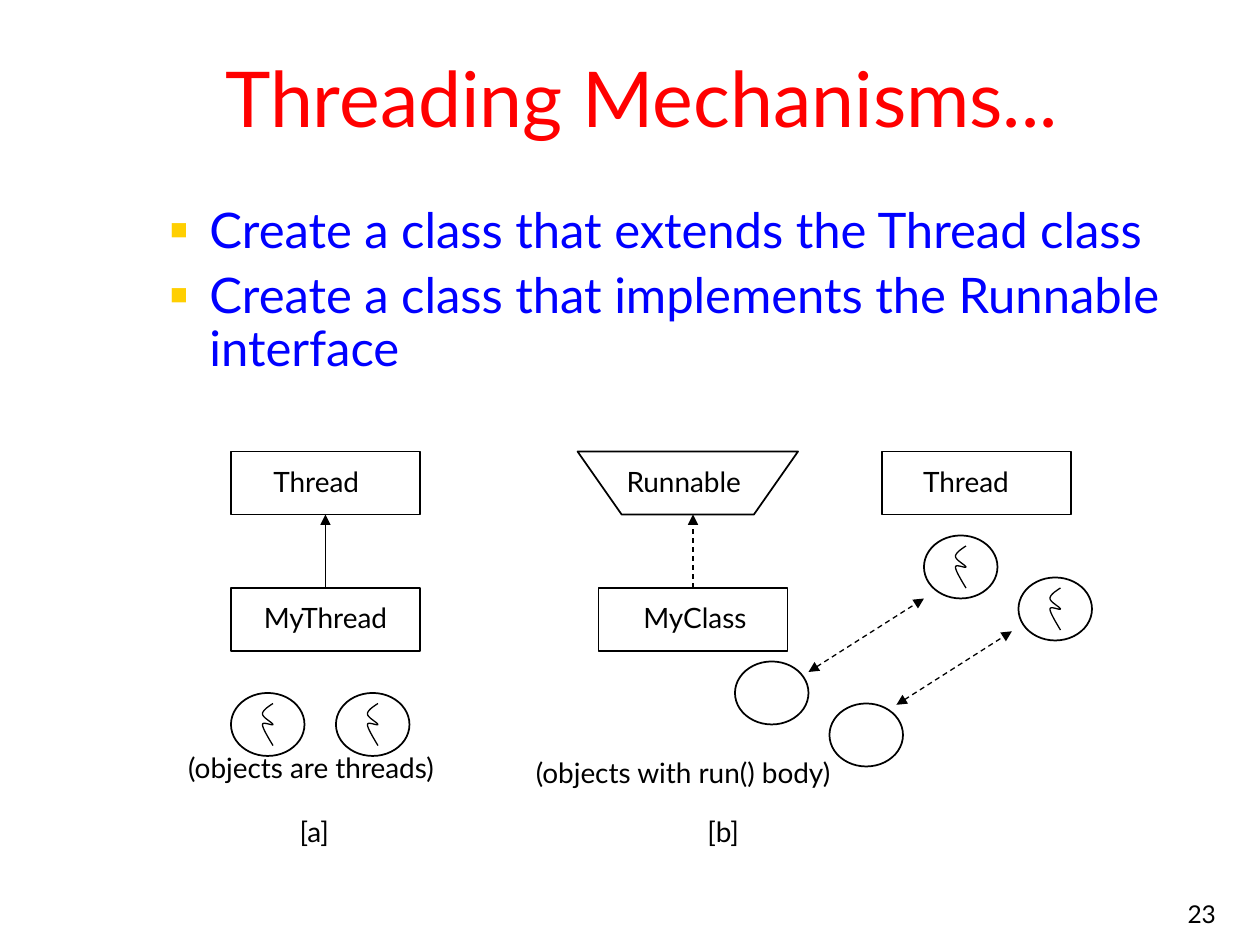
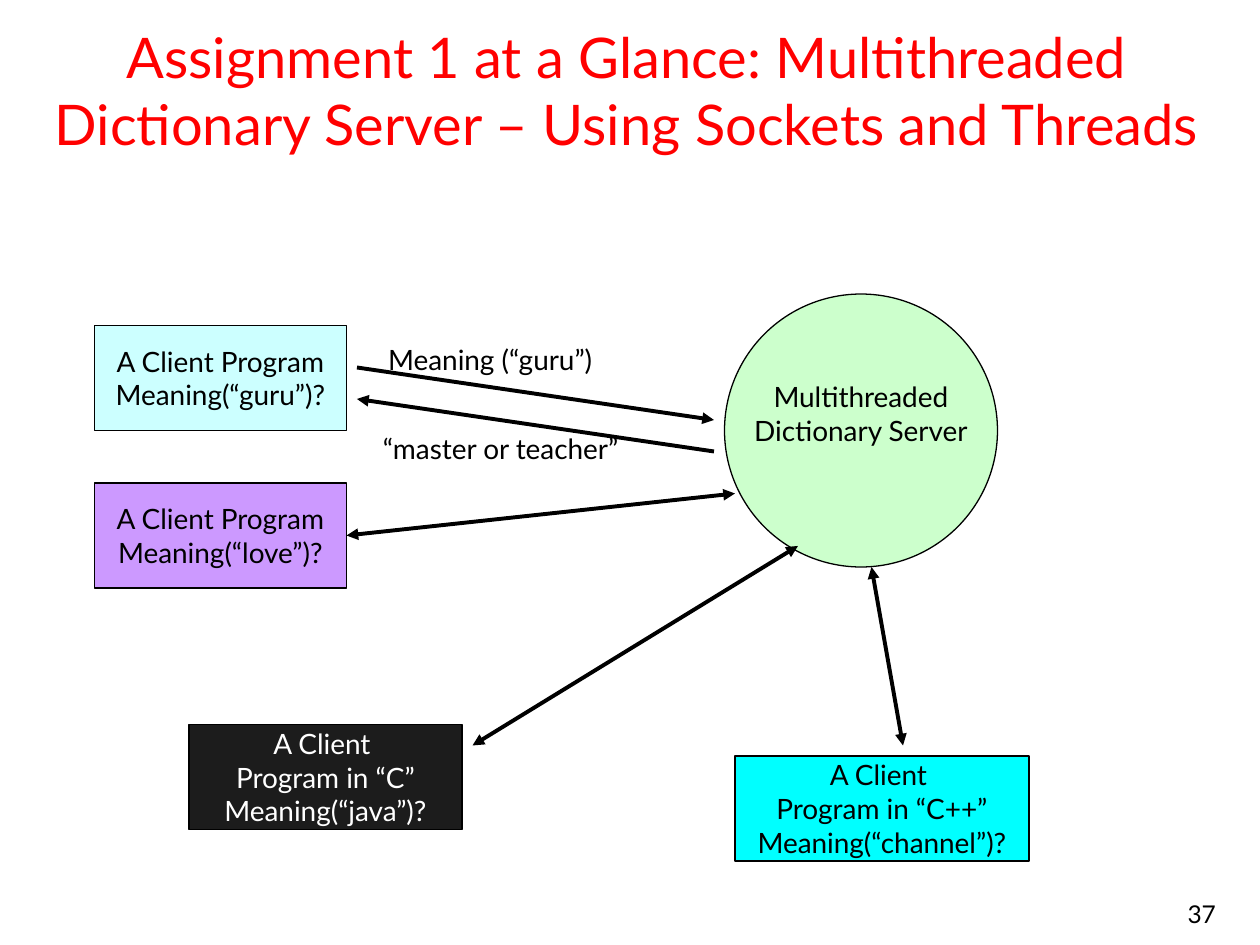
from dataclasses import dataclass, field
from typing import Any

import lxml.etree
import pptx
import pptx.dml.color
import pptx.enum.dml
import pptx.enum.shapes
import pptx.enum.text
import pptx.oxml.ns
import pptx.util

Kind = pptx.enum.shapes.MSO_SHAPE
Align = pptx.enum.text.PP_ALIGN
Anchor = pptx.enum.text.MSO_ANCHOR
Fit = pptx.enum.text.MSO_AUTO_SIZE
qn = pptx.oxml.ns.qn


@dataclass(frozen=True)
class Theme:
    font: str = "Lato"
    black: str = "000000"
    white: str = "FFFFFF"
    title: str = "FF0000"
    body: str = "0000FF"
    bullet: str = "FFCF01"
    server: str = "CCFFCC"
    guru: str = "CCFFFF"
    love: str = "CC99FF"
    java: str = "1C1C1C"
    channel: str = "00FFFF"
    big_title_size: int = 44
    title_size: int = 32
    body_size: int = 28
    label_size: int = 16
    number_size: int = 14


THEME = Theme()


@dataclass(frozen=True)
class Box:
    left: int
    top: int
    width: int
    height: int


@dataclass(frozen=True)
class TextStyle:
    size: int = THEME.label_size
    color: str = THEME.black
    align: Any = Align.CENTER
    spacing: float = 1.0
    before: int = 0
    bullet: bool = False
    frame: dict[str, Any] = field(default_factory=dict)


@dataclass(frozen=True)
class Figure:
    kind: Any
    box: Box
    fill: str | None = None
    weight: float = 1
    lines: tuple[str, ...] = ()
    ink: str = THEME.black
    room_below: int = 5


@dataclass(frozen=True)
class Arrow:
    start: tuple[int, int]
    end: tuple[int, int]
    weight: float = 0.75
    heads: tuple[str, ...] = ("tailEnd",)
    dashed: bool = False


@dataclass(frozen=True)
class Label:
    text: str
    box: Box


BOTH = ("headEnd", "tailEnd")
LABEL_HEIGHT = 36
THREAD_SIZE = (56, 48)
SQUIGGLE_OFFSET = (24, 8)
SQUIGGLE = (
    ((8, 0), (4, 2.6), (0, 5.3), (0, 8)),
    ((0, 8), (0, 10.7), (8, 14.7), (8, 16)),
    ((8, 16), (8, 17.3), (0, 13.3), (0, 16)),
    ((0, 16), (0, 18.7), (4, 25.3), (8, 32)),
)


def px(length: float) -> int:
    return pptx.util.Emu(round(length * 9525))


def rgb(color: str) -> Any:
    return pptx.dml.color.RGBColor.from_string(color)


def assign(target: Any, values: dict[str, Any]) -> None:
    for name, value in values.items():
        setattr(target, name, value)


def edges(box: Box) -> tuple[int, ...]:
    return tuple(px(side) for side in (box.left, box.top, box.width, box.height))


def add_bullet(para: Any) -> None:
    properties = para._p.get_or_add_pPr()
    properties.set("marL", str(px(30)))
    properties.set("indent", str(px(-30)))
    color = lxml.etree.SubElement(properties, qn("a:buClr"))
    lxml.etree.SubElement(color, qn("a:srgbClr"), val=THEME.bullet)
    lxml.etree.SubElement(properties, qn("a:buSzPct"), val="60000")
    lxml.etree.SubElement(properties, qn("a:buChar"), char="■")


def write(frame: Any, lines: tuple[str, ...], style: TextStyle) -> None:
    assign(frame, {"auto_size": Fit.NONE, "word_wrap": True} | style.frame)
    for index, text in enumerate(lines):
        para = frame.add_paragraph() if index else frame.paragraphs[0]
        if style.bullet:
            add_bullet(para)
        assign(para, {
            "alignment": style.align,
            "line_spacing": style.spacing,
            "space_before": pptx.util.Pt(style.before if index else 0),
        })
        span = para.add_run()
        span.text = text
        assign(span.font, {"name": THEME.font, "size": pptx.util.Pt(style.size)})
        span.font.color.rgb = rgb(style.color)


def fill_placeholder(shape: Any, box: Box, lines: tuple[str, ...], style: TextStyle) -> None:
    assign(shape, dict(zip(("left", "top", "width", "height"), edges(box))))
    write(shape.text_frame, lines, style)


def add_page(deck: Any, layout: int, title: str, box: Box, style: TextStyle, number: int) -> Any:
    page = deck.slides.add_slide(deck.slide_layouts[layout])
    fill_placeholder(page.shapes.title, box, (title,), style)
    footer = page.shapes.add_textbox(*edges(Box(736, 664, 200, 48)))
    write(footer.text_frame, (str(number),), TextStyle(
        THEME.number_size, align=Align.RIGHT, frame={"vertical_anchor": Anchor.BOTTOM}))
    return page


def draw_outline(line: Any, weight: float) -> None:
    line.color.rgb = rgb(THEME.black)
    line.width = pptx.util.Pt(weight)


def draw_figure(page: Any, figure: Figure) -> None:
    shape = page.shapes.add_shape(figure.kind, *edges(figure.box))
    shape.shadow.inherit = False
    if figure.fill:
        shape.fill.solid()
        shape.fill.fore_color.rgb = rgb(figure.fill)
    else:
        shape.fill.background()
    draw_outline(shape.line, figure.weight)
    if figure.lines:
        write(shape.text_frame, figure.lines, TextStyle(color=figure.ink, frame={
            "word_wrap": False,
            "vertical_anchor": Anchor.MIDDLE,
            "margin_bottom": px(figure.room_below),
        }))


def draw_arrow(page: Any, arrow: Arrow) -> None:
    connector = page.shapes.add_connector(
        pptx.enum.shapes.MSO_CONNECTOR.STRAIGHT,
        *(px(value) for value in arrow.start + arrow.end))
    draw_outline(connector.line, arrow.weight)
    if arrow.dashed:
        connector.line.dash_style = pptx.enum.dml.MSO_LINE.DASH
    properties = connector.element.spPr
    outline = properties.find(qn("a:ln"))
    for head in arrow.heads:
        lxml.etree.SubElement(outline, qn(f"a:{head}"), type="triangle")
    lxml.etree.SubElement(properties, qn("a:effectLst"))


def draw_label(page: Any, label: Label) -> None:
    shape = page.shapes.add_textbox(*edges(label.box))
    write(shape.text_frame, (label.text,), TextStyle(
        frame={"word_wrap": False, "auto_size": Fit.SHAPE_TO_FIT_TEXT}))


def curve_point(curve: tuple, step: float) -> tuple[float, ...]:
    rest = 1 - step
    weights = (rest ** 3, 3 * rest ** 2 * step, 3 * rest * step ** 2, step ** 3)
    return tuple(sum(w * point[axis] for w, point in zip(weights, curve)) for axis in (0, 1))


def draw_squiggle(page: Any, left: int, top: int) -> None:
    points = [SQUIGGLE[0][0]] + [
        curve_point(curve, step / 8) for curve in SQUIGGLE for step in range(1, 9)]
    placed = [(px(left + x), px(top + y)) for x, y in points]
    builder = page.shapes.build_freeform(*placed[0], scale=1.0)
    builder.add_line_segments(placed[1:], close=False)
    shape = builder.convert_to_shape()
    shape.shadow.inherit = False
    shape.fill.background()
    draw_outline(shape.line, 0.75)


def draw_object(page: Any, left: int, top: int, is_thread: bool) -> None:
    draw_figure(page, Figure(Kind.OVAL, Box(left, top, *THREAD_SIZE)))
    if is_thread:
        draw_squiggle(page, left + SQUIGGLE_OFFSET[0], top + SQUIGGLE_OFFSET[1])


def build_mechanisms(deck: Any) -> None:
    middle = {"vertical_anchor": Anchor.MIDDLE}
    page = add_page(
        deck, 1, "Threading Mechanisms...", Box(106, 22, 766, 112),
        TextStyle(THEME.big_title_size, THEME.title, spacing=0.9, frame=middle), 23)
    fill_placeholder(page.placeholders[1], Box(120, 152, 836, 192), (
        "Create a class that extends the Thread class",
        "Create a class that implements the Runnable interface",
    ), TextStyle(THEME.body_size, THEME.body, Align.LEFT, 0.9, 7, True))

    for left, top in ((176, 344), (176, 448), (456, 448), (672, 344)):
        draw_figure(page, Figure(Kind.RECTANGLE, Box(left, top, 144, 48)))
    draw_figure(page, Figure(Kind.FLOWCHART_MANUAL_OPERATION, Box(440, 344, 168, 48)))
    for left, top in ((176, 528), (256, 528), (704, 408), (776, 440)):
        draw_object(page, left, top, True)
    for left, top in ((560, 504), (632, 536)):
        draw_object(page, left, top, False)
    for arrow in (
        Arrow((248, 448), (248, 392)),
        Arrow((528, 448), (528, 392), dashed=True),
        Arrow((616, 512), (704, 456), heads=BOTH, dashed=True),
        Arrow((683, 537), (771, 481), heads=BOTH, dashed=True),
    ):
        draw_arrow(page, arrow)
    for label in (
        Label("Thread", Box(196, 349, 90, LABEL_HEIGHT)),
        Label("MyThread", Box(188, 453, 120, LABEL_HEIGHT)),
        Label("Runnable", Box(464, 349, 114, LABEL_HEIGHT)),
        Label("MyClass", Box(479, 453, 101, LABEL_HEIGHT)),
        Label("Thread", Box(691, 349, 90, LABEL_HEIGHT)),
        Label("(objects are threads)", Box(125, 567, 224, LABEL_HEIGHT)),
        Label("(objects with run() body)", Box(390, 571, 261, 61)),
        Label("[a]", Box(217, 616, 45, LABEL_HEIGHT)),
        Label("[b]", Box(528, 616, 46, LABEL_HEIGHT)),
    ):
        draw_label(page, label)


def build_assignment(deck: Any) -> None:
    page = add_page(
        deck, 5,
        "Assignment 1 at a Glance: Multithreaded Dictionary Server – Using Sockets and Threads",
        Box(16, 16, 923, 104),
        TextStyle(THEME.title_size, THEME.title, frame={"vertical_anchor": Anchor.MIDDLE}), 37)
    draw_figure(page, Figure(
        Kind.OVAL, Box(552, 224, 208, 208), THEME.server, 0.75,
        ("Multithreaded", "Dictionary Server"), room_below=31))
    for left, top, width, fill, ink, lines in (
        (72, 248, 192, THEME.guru, THEME.black, ("A Client Program", "Meaning(“guru”)?")),
        (72, 368, 192, THEME.love, THEME.black, ("A Client Program", "Meaning(“love”)?")),
        (560, 576, 224, THEME.channel, THEME.black,
         ("A Client ", "Program in “C++”", "Meaning(“channel”)?")),
        (144, 552, 208, THEME.java, THEME.white,
         ("A Client ", "Program in “C”", "Meaning(“java”)?")),
    ):
        draw_figure(page, Figure(
            Kind.RECTANGLE, Box(left, top, width, 80), fill, 0.75, lines, ink))
    for start, end, heads in (
        ((272, 280), (544, 320), ("tailEnd",)),
        ((264, 408), (560, 376), BOTH),
        ((360, 568), (608, 416), BOTH),
        ((688, 568), (664, 432), BOTH),
        ((272, 304), (544, 344), ("headEnd",)),
    ):
        draw_arrow(page, Arrow(start, end, 2.25, heads))
    draw_label(page, Label("Meaning (“guru”)", Box(279, 256, 189, LABEL_HEIGHT)))
    draw_label(page, Label("“master or teacher”", Box(275, 324, 213, LABEL_HEIGHT)))


def main() -> None:
    deck = pptx.Presentation()
    assign(deck, {"slide_width": px(960), "slide_height": px(720)})
    build_mechanisms(deck)
    build_assignment(deck)
    deck.save("out.pptx")


if __name__ == "__main__":
    main()
